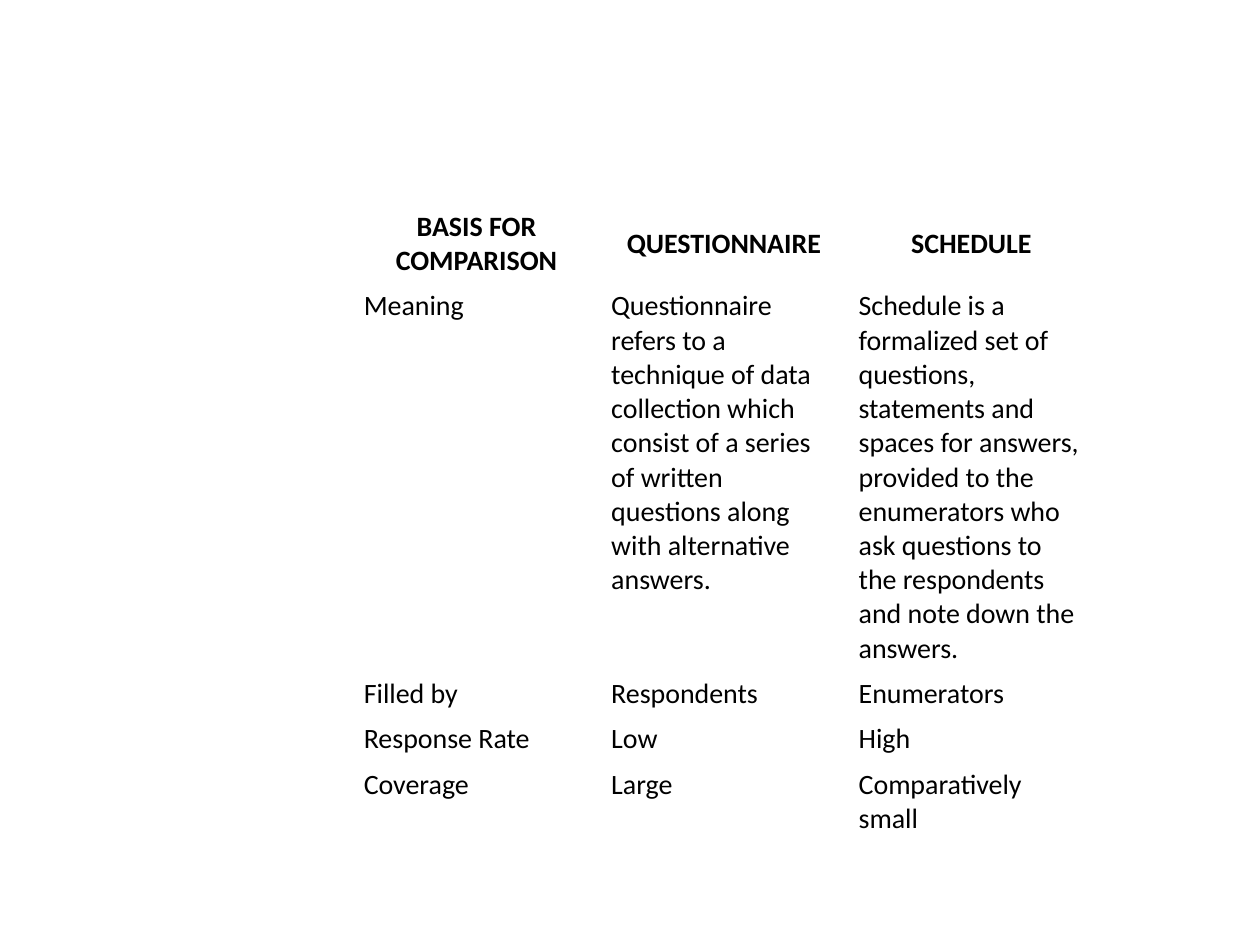
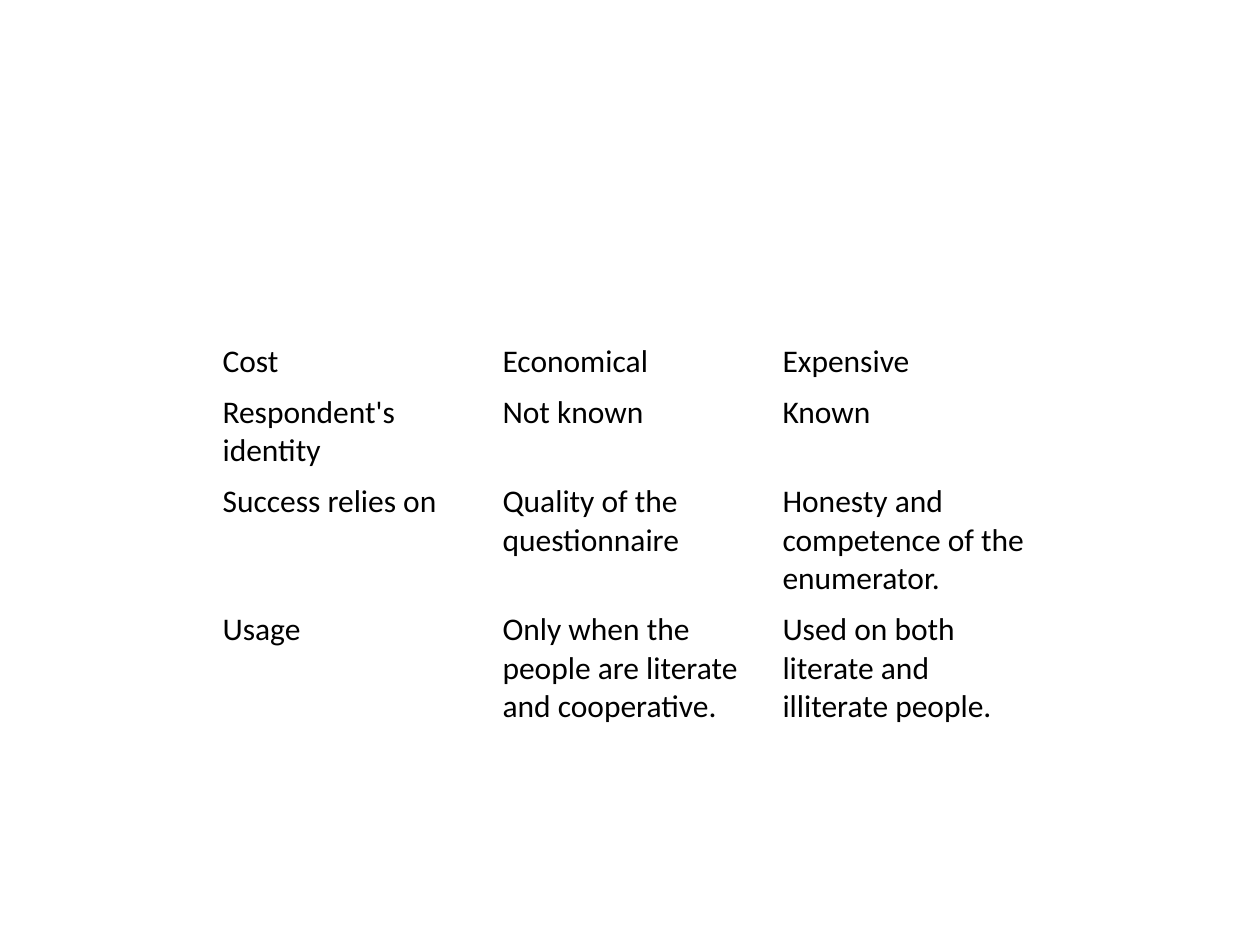
import pptx
import pptx.util
import pptx.dml.color
import pptx.enum.text

Pt = pptx.util.Pt
BLACK = pptx.dml.color.RGBColor(0, 0, 0)
ALIGN = pptx.enum.text.PP_ALIGN
ANCHOR = pptx.enum.text.MSO_ANCHOR
FONT = "Calibri"

tables = [
    {
        "left": 201.6, "top": 116.6, "col_width": 141.4, "size": 16,
        "margins": (6.3, 3.2), "header": True,
        "heights": [45.4, 221.2, 25.9, 25.9, 45.4],
        "rows": [
            ["BASIS FOR COMPARISON", "QUESTIONNAIRE", "SCHEDULE"],
            ["Meaning",
             "Questionnaire refers to a technique of data collection which "
             "consist of a series of written questions along with alternative answers.",
             "Schedule is a formalized set of questions, statements and spaces "
             "for answers, provided to the enumerators who ask questions to the "
             "respondents and note down the answers."],
            ["Filled by", "Respondents", "Enumerators"],
            ["Response Rate", "Low", "High"],
            ["Coverage", "Large", "Comparatively small"],
        ],
    },
    {
        "left": 120, "top": 192, "col_width": 160, "size": 18,
        "margins": (7.2, 3.6), "header": False,
        "heights": [29.2, 51.1, 73.1, 73.1],
        "rows": [
            ["Cost", "Economical", "Expensive"],
            ["Respondent's identity", "Not known", "Known"],
            ["Success relies on", "Quality of the questionnaire",
             "Honesty and competence of the enumerator."],
            ["Usage", "Only when the people are literate and cooperative.",
             "Used on both literate and illiterate people."],
        ],
    },
]

prs = pptx.Presentation()
prs.slide_width, prs.slide_height = Pt(720), Pt(540)

for t in tables:
    s = prs.slides.add_slide(prs.slide_layouts[6])
    rows, heights = t["rows"], t["heights"]
    cols = len(rows[0])
    tbl = s.shapes.add_table(len(rows), cols, Pt(t["left"]), Pt(t["top"]),
                             Pt(cols * t["col_width"]), Pt(sum(heights))).table
    tbl.first_row = t["header"]
    tbl.horz_banding = False
    for col in tbl.columns:
        col.width = Pt(t["col_width"])
    side, edge = (Pt(m) for m in t["margins"])
    for i, (texts, height) in enumerate(zip(rows, heights)):
        tbl.rows[i].height = Pt(height)
        heading = t["header"] and i == 0
        cell_format = {
            "margin_left": side, "margin_right": side,
            "margin_top": edge, "margin_bottom": edge,
            "vertical_anchor": ANCHOR.MIDDLE if heading else ANCHOR.TOP,
        }
        font_format = {"name": FONT, "size": Pt(t["size"]), "bold": heading}
        for j, text in enumerate(texts):
            cell = tbl.cell(i, j)
            cell.fill.background()
            for name, value in cell_format.items():
                setattr(cell, name, value)
            p = cell.text_frame.paragraphs[0]
            p.alignment = ALIGN.CENTER if heading else ALIGN.LEFT
            r = p.add_run()
            r.text = text
            for name, value in font_format.items():
                setattr(r.font, name, value)
            r.font.color.rgb = BLACK

prs.save("out.pptx")
